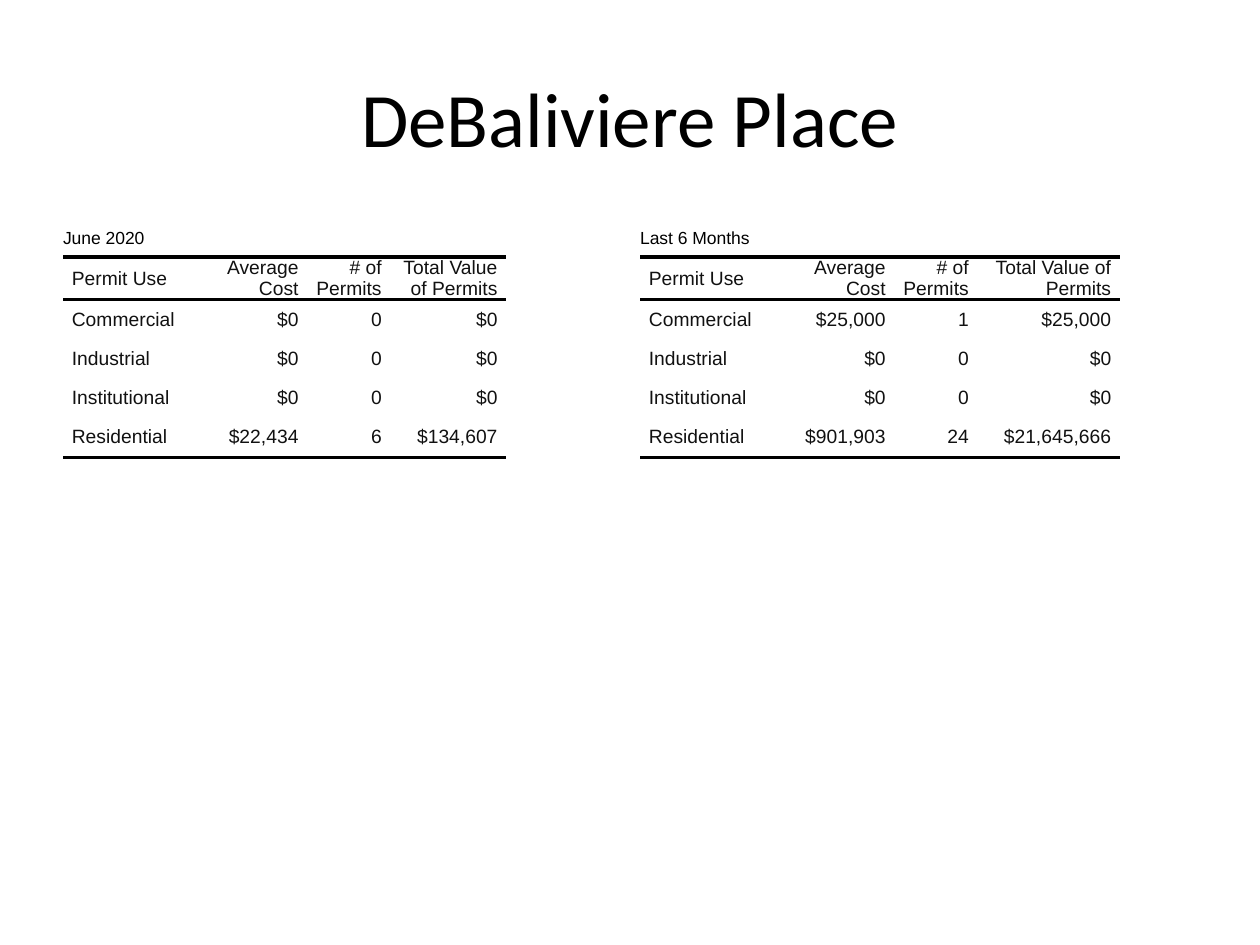
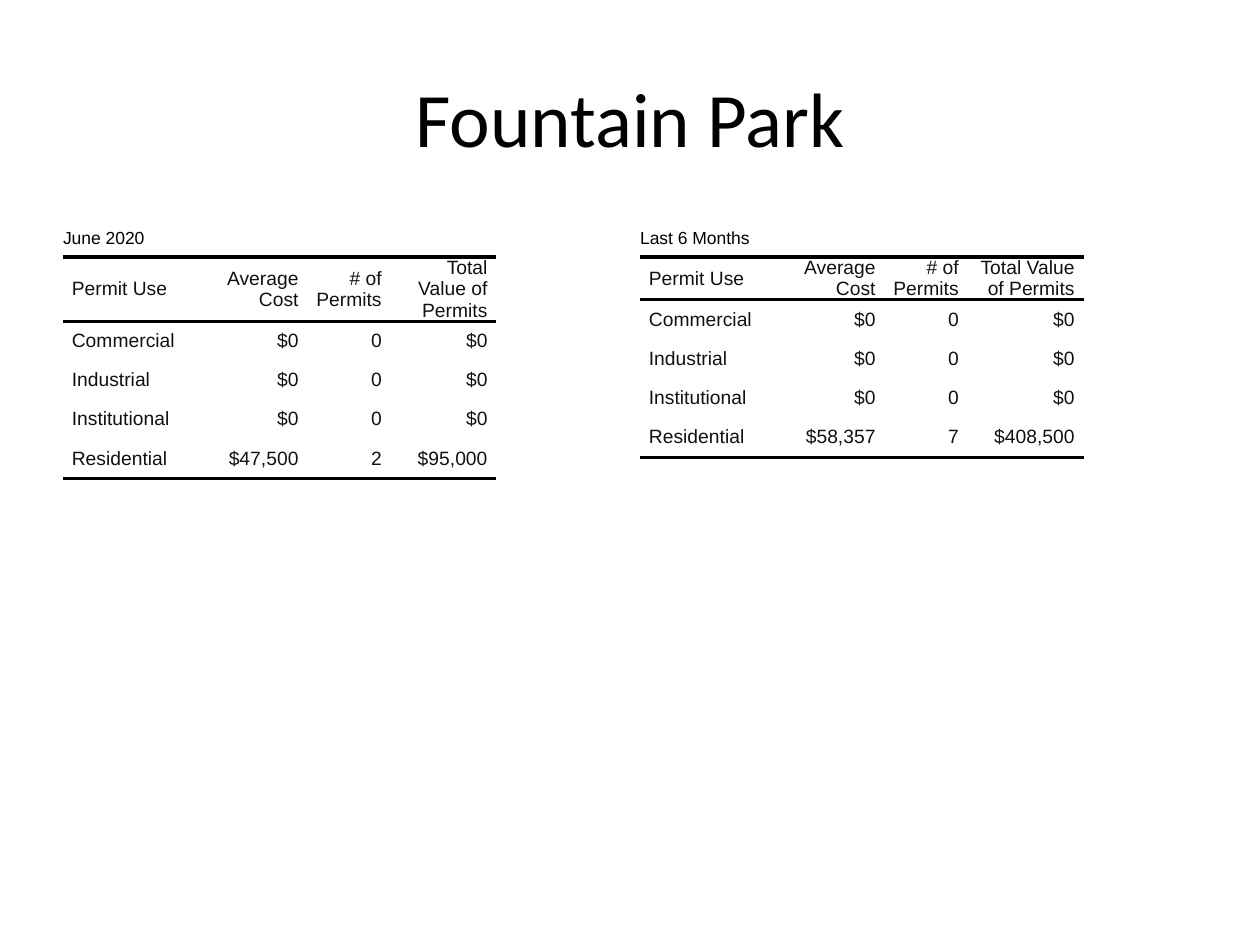
"""Builds two slides of building permit tables, one slide per neighborhood."""
from lxml import etree
from pptx import Presentation
from pptx.dml.color import RGBColor
from pptx.enum.text import MSO_ANCHOR, PP_ALIGN
from pptx.oxml.ns import qn
from pptx.util import Inches, Pt

LEFT, RIGHT, CENTER = PP_ALIGN.LEFT, PP_ALIGN.RIGHT, PP_ALIGN.CENTER
MIDDLE = MSO_ANCHOR.MIDDLE
BLACK, INK = "000000", "111111"
PLAIN = "{2D5ABB26-0587-4C30-8999-92F81FD0307C}"
WIDE, HIGH = 10, 7.5
EDGE = 0.05 * WIDE
TOP = 1.75
HALF = 4.42
STARTS = (EDGE, WIDE - EDGE - HALF)
ROWS = (0.29, 0.29, 0.31, 0.31, 0.31, 0.32)
PAD = str(Inches(0.07))
HEAD = ("Permit Use", "Average Cost", "# of Permits", "Total Value of Permits")
USES = ("Commercial", "Industrial", "Institutional", "Residential")
PERIODS = ("June 2020", "Last 6 Months")
NONE = ("$0", "0", "$0")
PLACES = {
    "DeBaliviere Place": (
        ((1.1, 0.84, 0.66, 0.92),
         (NONE, NONE, NONE, ("$22,434", "6", "$134,607"))),
        ((1.1, 0.92, 0.66, 1.13),
         (("$25,000", "1", "$25,000"), NONE, NONE,
          ("$901,903", "24", "$21,645,666"))),
    ),
    "Fountain Park": (
        ((1.1, 0.84, 0.66, 0.84),
         (NONE, NONE, NONE, ("$47,500", "2", "$95,000"))),
        ((1.1, 0.84, 0.66, 0.92),
         (NONE, NONE, NONE, ("$58,357", "7", "$408,500"))),
    ),
}


def style(para, face, size, color, align):
    """Set the font and alignment of a paragraph."""
    para.alignment = align
    para.font.name, para.font.size = face, Pt(size)
    para.font.color.rgb = RGBColor.from_string(color)


def rule(cell, side):
    """Draw a black line on one side of a cell."""
    line = etree.SubElement(cell._tc.get_or_add_tcPr(), qn("a:" + side), w=str(Pt(2)))
    fill = etree.SubElement(line, qn("a:solidFill"))
    etree.SubElement(fill, qn("a:srgbClr"), val=BLACK)


deck = Presentation()
deck.slide_width, deck.slide_height = Inches(WIDE), Inches(HIGH)

for place, halves in PLACES.items():
    slide = deck.slides.add_slide(deck.slide_layouts[5])
    title = slide.shapes.title
    title.left, title.top = Inches(EDGE), Inches(0.04 * HIGH)
    title.width, title.height = Inches(WIDE - 2 * EDGE), Inches(1.25)
    title.text_frame.text = place
    title.text_frame.vertical_anchor = MIDDLE
    style(title.text_frame.paragraphs[0], "Calibri", 44, BLACK, CENTER)

    for start, period, (widths, values) in zip(STARTS, PERIODS, halves):
        frame = slide.shapes.add_table(
            len(ROWS), len(HEAD), Inches(start), Inches(TOP),
            Inches(sum(widths)), Inches(sum(ROWS)))
        table = frame.table
        table.first_row = table.horz_banding = False
        table._tbl.tblPr.find(qn("a:tableStyleId")).text = PLAIN
        for col, width in zip(table.columns, widths):
            col.width = Inches(width)
        for row, height in zip(table.rows, ROWS):
            row.height = Inches(height)
        table.cell(0, 0).merge(table.cell(0, len(HEAD) - 1))

        body = [(use, *nums) for use, nums in zip(USES, values)]
        grid = [(period, "", "", ""), HEAD, *body]
        for r, texts in enumerate(grid):
            for c, text in enumerate(texts):
                cell = table.cell(r, c)
                cell.margin_left = cell.margin_right = 0
                cell.margin_top = cell.margin_bottom = 0
                cell.vertical_anchor = MIDDLE
                if r == 1:
                    rule(cell, "lnT")
                if r in (1, len(ROWS) - 1):
                    rule(cell, "lnB")
                cell.fill.background()
                cell.text = text
                para = cell.text_frame.paragraphs[0]
                if r == 0:
                    style(para, "Arial", 10, BLACK, LEFT)
                else:
                    props = para._p.get_or_add_pPr()
                    props.set("marL", PAD)
                    props.set("marR", PAD)
                    style(para, "Arial", 11, INK, RIGHT if c else LEFT)

deck.save("out.pptx")
